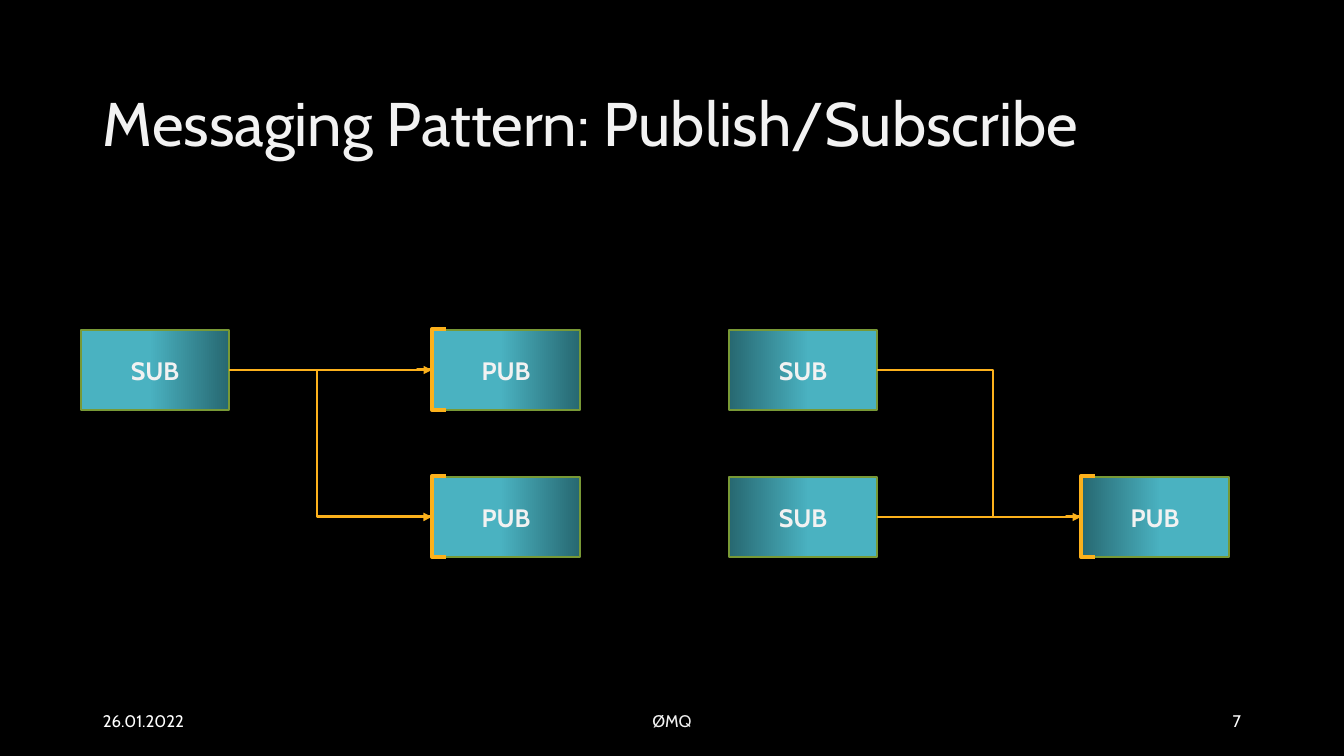
import pptx
import pptx.util
import pptx.dml.color
import pptx.enum.shapes
import pptx.enum.text
import pptx.oxml
import pptx.oxml.ns

ALIGN = pptx.enum.text.PP_ALIGN
ANCHOR = pptx.enum.text.MSO_ANCHOR
SHAPE = pptx.enum.shapes.MSO_SHAPE
CONNECTOR = pptx.enum.shapes.MSO_CONNECTOR

WIDTH, HEIGHT = 1344, 756
BOX_W, BOX_H = 148, 80
ROWS = (330, 477)
LEFT_SUB, LEFT_PUB, RIGHT_SUB, RIGHT_PUB = 81, 432, 729, 1081


def px(n):
    return round(n * 12192000 / WIDTH)


def rgb(value):
    return pptx.dml.color.RGBColor.from_string(value)


class Deck:
    font, text_color = "Cabin", "F2F2F2"
    accent, edge = "FCB11C", "789936"
    light, dark = "4AB2C1", "276871"

    def __init__(self):
        self.prs = pptx.Presentation()
        self.prs.slide_width, self.prs.slide_height = px(WIDTH), px(HEIGHT)
        self.slide = self.prs.slides.add_slide(self.prs.slide_layouts[6])
        fill = self.slide.background.fill
        fill.solid()
        fill.fore_color.rgb = rgb("000000")

    def label(self, sp, text, size, align, anchor=ANCHOR.MIDDLE, bold=False,
              color=text_color, spacing=1.0):
        tf = sp.text_frame
        tf.word_wrap = True
        tf.vertical_anchor = anchor
        p = tf.paragraphs[0]
        p.alignment, p.line_spacing = align, spacing
        r = p.add_run()
        r.text = text
        formats = {"name": self.font, "size": pptx.util.Pt(size), "bold": bold}
        for key, value in formats.items():
            setattr(r.font, key, value)
        r.font.color.rgb = rgb(color)

    def text(self, x, y, w, h, text, size, align, **formats):
        sp = self.slide.shapes.add_textbox(px(x), px(y), px(w), px(h))
        self.label(sp, text, size, align, **formats)

    def stroke(self, sp, color, width):
        sp.line.color.rgb = rgb(color)
        sp.line.width = pptx.util.Pt(width)

    def shape(self, kind, x, y, w, h):
        sp = self.slide.shapes.add_shape(kind, px(x), px(y), px(w), px(h))
        sp.shadow.inherit = False
        return sp

    def box(self, x, y, name, dark_left=False):
        sp = self.shape(SHAPE.RECTANGLE, x, y, BOX_W, BOX_H)
        sp.fill.gradient()
        sp.fill.gradient_angle = 0
        stops = [(0.46, self.light), (1, self.dark)]
        if dark_left:
            stops = [(0, self.dark), (0.54, self.light)]
        for stop, (position, color) in zip(sp.fill.gradient_stops, stops):
            stop.position = position
            stop.color.rgb = rgb(color)
        self.stroke(sp, self.edge, 1)
        self.label(sp, name, 18, ALIGN.CENTER, bold=True)

    def bracket(self, x, y):
        """Square bracket whose spine lies on the left edge of a box."""
        sp = self.shape(SHAPE.LEFT_BRACE, x - 14, y - 1, 28, 81)
        sp.adjustments[0] = 0
        sp.fill.background()
        self.stroke(sp, self.accent, 2.75)

    def connector(self, start, end, bent=False, arrow=None):
        """Straight line, or one corner (across, then down); arrow is headEnd or tailEnd."""
        kind = CONNECTOR.ELBOW if bent else CONNECTOR.STRAIGHT
        sp = self.slide.shapes.add_connector(kind, *map(px, start + end))
        self.stroke(sp, self.accent, 2)
        props = sp._element.spPr
        if bent:
            props.find(pptx.oxml.ns.qn("a:prstGeom")).set("prst", "bentConnector2")
        if arrow:
            tip = pptx.oxml.parse_xml(
                f'<a:{arrow} {pptx.oxml.ns.nsdecls("a")} type="triangle"/>')
            props.find(pptx.oxml.ns.qn("a:ln")).append(tip)
        props.append(pptx.oxml.parse_xml(
            f'<a:effectLst {pptx.oxml.ns.nsdecls("a")}/>'))


def main():
    deck = Deck()
    deck.text(93, 40, 1251, 125, "Messaging Pattern: Publish/Subscribe", 44,
              ALIGN.LEFT, anchor=ANCHOR.BOTTOM, spacing=0.9)
    deck.text(93, 701, 302, 40, "26.01.2022", 12, ALIGN.LEFT, color="FFFFFF")
    deck.text(445, 701, 454, 40, "ØMQ", 12, ALIGN.CENTER)
    deck.text(949, 701, 302, 40, "7", 12, ALIGN.RIGHT, color="FFFFFF")

    top, bottom = ROWS
    upper, lower = (y + BOX_H // 2 for y in ROWS)

    # One subscriber, two publishers
    deck.box(LEFT_SUB, top, "SUB")
    for y in ROWS:
        deck.box(LEFT_PUB, y, "PUB")
        deck.bracket(LEFT_PUB, y)
    deck.connector((LEFT_SUB + BOX_W, upper), (LEFT_PUB, upper), arrow="tailEnd")
    deck.connector((LEFT_PUB, lower), (LEFT_PUB - 115, upper), bent=True, arrow="headEnd")

    # Two subscribers, one publisher
    for y in ROWS:
        deck.box(RIGHT_SUB, y, "SUB", dark_left=True)
    deck.box(RIGHT_PUB, bottom, "PUB", dark_left=True)
    deck.bracket(RIGHT_PUB, bottom)
    sub_edge = RIGHT_SUB + BOX_W
    deck.connector((sub_edge, lower), (RIGHT_PUB, lower), arrow="tailEnd")
    deck.connector((sub_edge, upper), (sub_edge + 116, lower), bent=True)

    deck.prs.save("out.pptx")


if __name__ == "__main__":
    main()
